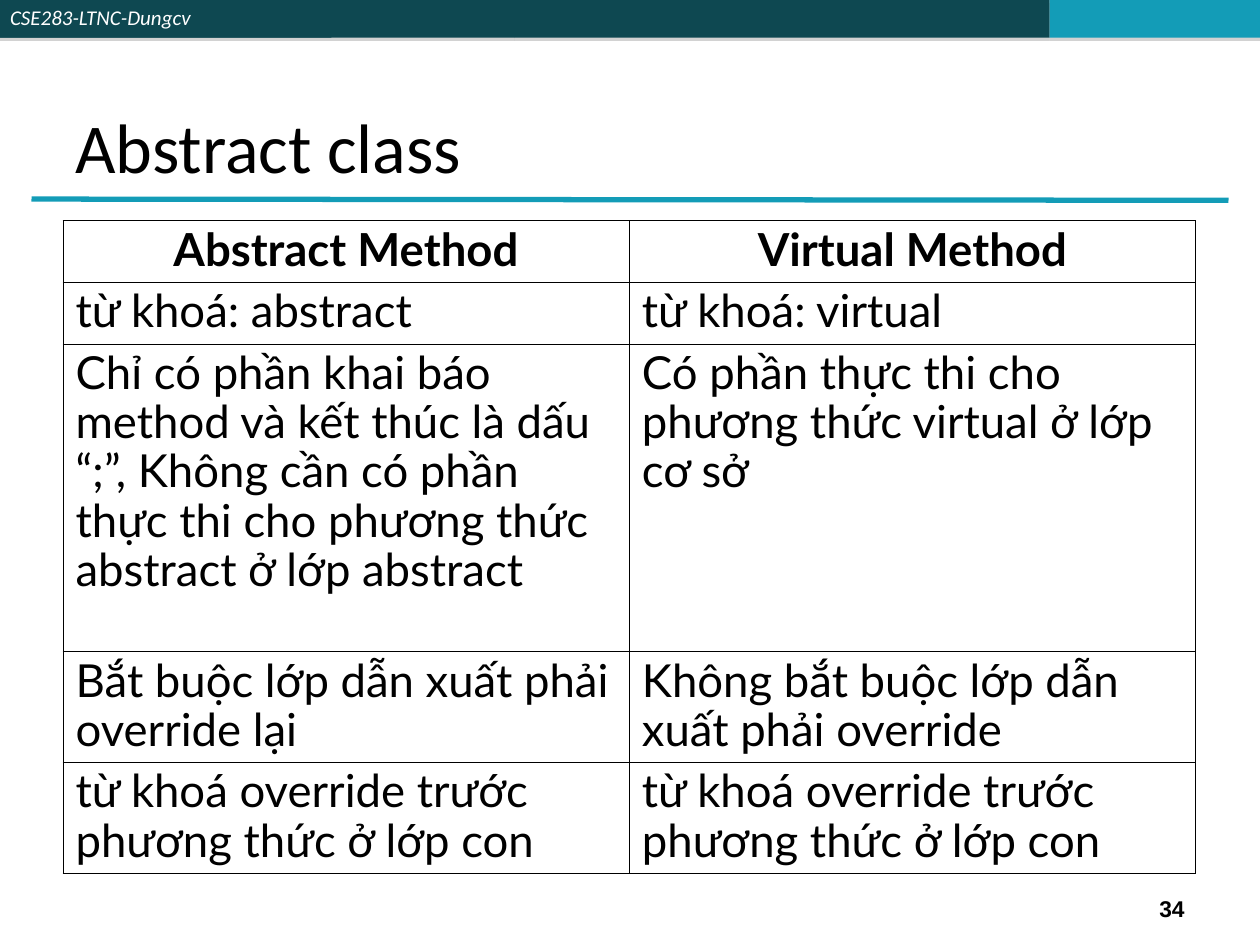
from dataclasses import dataclass

from lxml.etree import SubElement
from pptx import Presentation
from pptx.dml.color import RGBColor
from pptx.enum.shapes import MSO_CONNECTOR as Connector, MSO_SHAPE as Shape
from pptx.enum.text import MSO_ANCHOR as Anchor, PP_ALIGN as Align
from pptx.oxml.ns import qn
from pptx.util import Inches, Pt

WIDTH, HEIGHT = 10, 7.5
MARGIN = 0.05 * WIDTH
CONTENT_WIDTH = WIDTH - 2 * MARGIN - 0.01
BAR_HEIGHT = 0.04 * HEIGHT
DARK, ACCENT, BLACK, WHITE = "0E4851", "139CB7", "000000", "FFFFFF"
ROW_HEIGHTS = [0.49, 0.49, 2.44, 0.88, 0.88]
ROWS = [
    ("Abstract Method", "Virtual Method"),
    ("từ khoá: abstract", "từ khoá: virtual"),
    ("Chỉ có phần khai báo method và kết thúc là dấu “;”, Không cần có phần "
     "thực thi cho phương thức abstract ở lớp abstract",
     "Có phần thực thi cho phương thức virtual ở lớp cơ sở"),
    ("Bắt buộc lớp dẫn xuất phải override lại",
     "Không bắt buộc lớp dẫn xuất phải override"),
    ("từ khoá override trước phương thức ở lớp con",) * 2,
]


@dataclass(frozen=True)
class Box:
    left: float
    top: float
    width: float
    height: float

    def lengths(self) -> list:
        return [Inches(n) for n in (self.left, self.top, self.width, self.height)]


@dataclass(frozen=True)
class Style:
    font: str
    size: float
    color: str = BLACK
    bold: bool = False
    italic: bool = False
    align: Align = Align.LEFT


def rgb(color: str) -> RGBColor:
    return RGBColor.from_string(color)


def write(frame, text: str, style: Style):
    paragraph = frame.paragraphs[0]
    paragraph.alignment = style.align
    run = paragraph.add_run()
    run.text = text
    font = run.font
    font.name, font.size = style.font, Pt(style.size)
    font.bold, font.italic = style.bold, style.italic
    font.color.rgb = rgb(style.color)
    return paragraph


def add_solid_color(parent, color: str):
    fill = SubElement(parent, qn("a:solidFill"))
    return SubElement(fill, qn("a:srgbClr"), val=color)


def add_drop_shadow(shape) -> None:
    effects = shape._element.spPr.find(qn("a:effectLst"))
    shadow = SubElement(effects, qn("a:outerShdw"), blurRad="0",
                        dist=str(Pt(1.8)), dir="5400000", rotWithShape="0")
    color = SubElement(shadow, qn("a:srgbClr"), val="808080")
    SubElement(color, qn("a:alpha"), val="35000")


def add_bar(slide, left: float, width: float, color: str, shadow: bool = True):
    bar = slide.shapes.add_shape(
        Shape.RECTANGLE, *Box(left, 0, width, BAR_HEIGHT).lengths())
    bar.shadow.inherit = False
    bar.fill.solid()
    bar.fill.fore_color.rgb = rgb(color)
    bar.line.fill.background()
    if shadow:
        add_drop_shadow(bar)
    return bar


def add_header(slide) -> None:
    for left, right, color in ((0, 4.08, DARK), (4.08, 8.33, DARK), (8.33, WIDTH, ACCENT)):
        add_bar(slide, left, right - left, color)
    rule = slide.shapes.add_connector(
        Connector.STRAIGHT, Inches(MARGIN / 2), Inches(1.58),
        Inches(WIDTH - MARGIN / 2), Inches(1.59))
    rule.line.color.rgb = rgb(ACCENT)
    rule.line.width = Pt(3)
    SubElement(rule._element.spPr, qn("a:effectLst"))

    frame = add_bar(slide, 0, 2.63, DARK, shadow=False).text_frame
    frame.margin_left = frame.margin_right = Inches(0.08)
    frame.margin_top = frame.margin_bottom = Inches(0.04)
    frame.vertical_anchor = Anchor.TOP
    frame.word_wrap = True
    write(frame, "CSE283-LTNC-Dungcv", Style("Calibri", 12, WHITE, italic=True))


def add_text(slide, box: Box, text: str, style: Style, anchor: Anchor) -> None:
    frame = slide.shapes.add_textbox(*box.lengths()).text_frame
    frame.word_wrap = True
    frame.vertical_anchor = anchor
    write(frame, text, style)


def add_borders(cell) -> None:
    """Line all four sides; borders must precede the cell's fill."""
    properties = cell._tc.get_or_add_tcPr()
    for side in ("lnL", "lnR", "lnT", "lnB"):
        line = SubElement(properties, qn(f"a:{side}"), w=str(Pt(0.45)))
        add_solid_color(line, BLACK)


def add_comparison(slide) -> None:
    box = Box(MARGIN, 1.75, CONTENT_WIDTH, sum(ROW_HEIGHTS))
    table = slide.shapes.add_table(len(ROWS), len(ROWS[0]), *box.lengths()).table
    table.first_row = table.horz_banding = False
    heading = Style("Lato", 26, bold=True, align=Align.CENTER)
    body = Style("Lato", 26)
    for row_index, (texts, height) in enumerate(zip(ROWS, ROW_HEIGHTS)):
        table.rows[row_index].height = Inches(height)
        for column_index, text in enumerate(texts):
            cell = table.cell(row_index, column_index)
            add_borders(cell)
            cell.fill.background()
            style = body if row_index else heading
            write(cell.text_frame, text, style).line_spacing = 0.9


def main() -> None:
    presentation = Presentation()
    presentation.slide_width, presentation.slide_height = Inches(WIDTH), Inches(HEIGHT)
    slide = presentation.slides.add_slide(presentation.slide_layouts[6])
    add_header(slide)
    add_text(slide, Box(MARGIN, 0.11, CONTENT_WIDTH, 1.43), "Abstract class",
             Style("Calibri", 40), Anchor.BOTTOM)
    add_comparison(slide)
    add_text(slide, Box(7.17, 7.06, 2.33, 0.3), "34",
             Style("Arial", 13, bold=True, align=Align.RIGHT), Anchor.MIDDLE)
    presentation.save("out.pptx")


if __name__ == "__main__":
    main()
